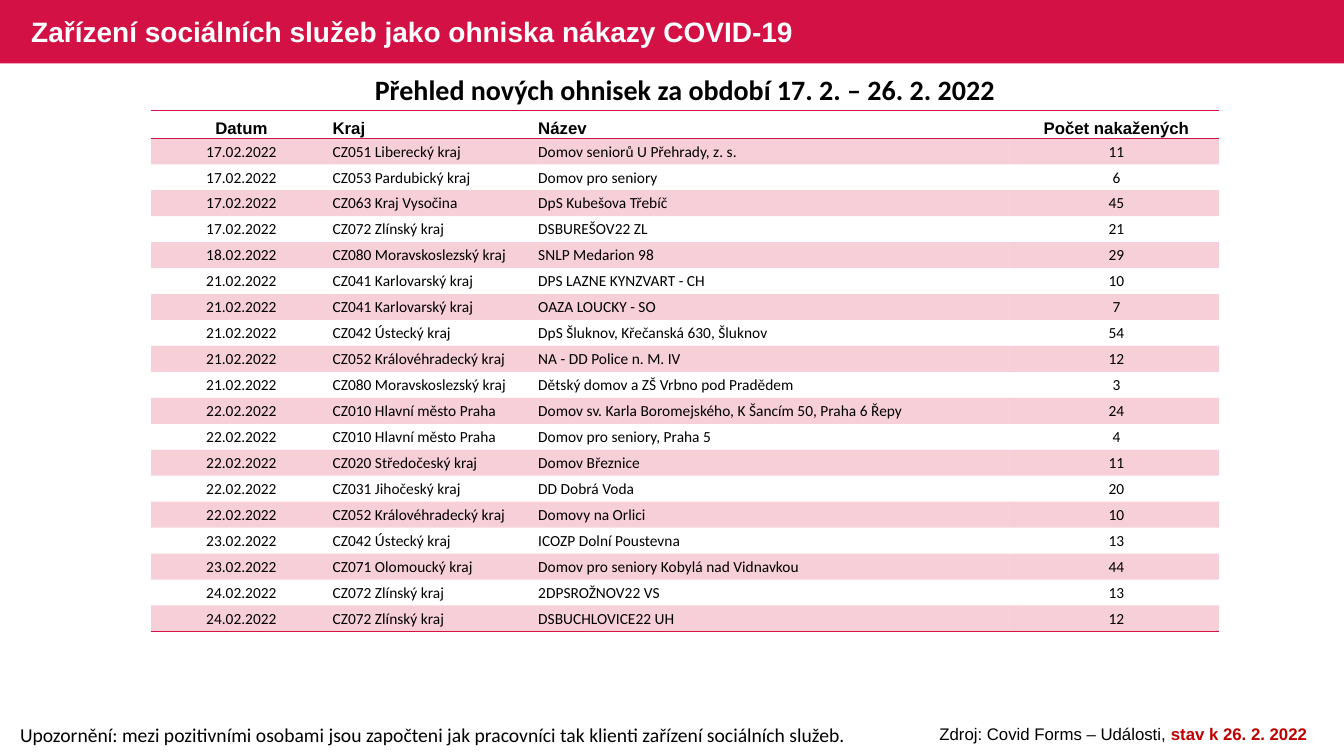
from lxml import etree
from pptx import Presentation
from pptx.dml.color import RGBColor
from pptx.enum import shapes, text
from pptx.oxml import ns
from pptx.util import Pt

CRIMSON = RGBColor(0xD3, 0x11, 0x45)
DARK_RED = RGBColor(0xC0, 0x00, 0x00)
BLACK = RGBColor(0, 0, 0)
WHITE = RGBColor(255, 255, 255)
LEFT, CENTER = text.PP_ALIGN.LEFT, text.PP_ALIGN.CENTER
MIDDLE, BOTTOM = text.MSO_ANCHOR.MIDDLE, text.MSO_ANCHOR.BOTTOM

TITLE = "Zařízení sociálních služeb jako ohniska nákazy COVID-19"
SUBTITLE = "Přehled nových ohnisek za období 17. 2. – 26. 2. 2022"
WARNING = ("Upozornění: mezi pozitivními osobami jsou započteni jak pracovníci "
           "tak klienti zařízení sociálních služeb.")
SOURCE, SOURCE_DATE = "Zdroj: Covid Forms – Události, ", "stav k 26. 2. 2022"

HEADER = ("Datum", "Kraj", "Název", "Počet nakažených")
OUTBREAKS = [
    ("17.02.2022", "CZ051 Liberecký kraj", "Domov seniorů U Přehrady, z. s.", 11),
    ("17.02.2022", "CZ053 Pardubický kraj", "Domov pro seniory", 6),
    ("17.02.2022", "CZ063 Kraj Vysočina", "DpS Kubešova Třebíč", 45),
    ("17.02.2022", "CZ072 Zlínský kraj", "DSBUREŠOV22 ZL", 21),
    ("18.02.2022", "CZ080 Moravskoslezský kraj", "SNLP Medarion 98", 29),
    ("21.02.2022", "CZ041 Karlovarský kraj", "DPS LAZNE KYNZVART - CH", 10),
    ("21.02.2022", "CZ041 Karlovarský kraj", "OAZA LOUCKY - SO", 7),
    ("21.02.2022", "CZ042 Ústecký kraj", "DpS Šluknov, Křečanská 630, Šluknov", 54),
    ("21.02.2022", "CZ052 Královéhradecký kraj", "NA - DD Police n. M. IV", 12),
    ("21.02.2022", "CZ080 Moravskoslezský kraj", "Dětský domov a ZŠ Vrbno pod Pradědem", 3),
    ("22.02.2022", "CZ010 Hlavní město Praha",
     "Domov sv. Karla Boromejského, K Šancím 50, Praha 6 Řepy", 24),
    ("22.02.2022", "CZ010 Hlavní město Praha", "Domov pro seniory, Praha 5", 4),
    ("22.02.2022", "CZ020 Středočeský kraj", "Domov Březnice", 11),
    ("22.02.2022", "CZ031 Jihočeský kraj", "DD Dobrá Voda", 20),
    ("22.02.2022", "CZ052 Královéhradecký kraj", "Domovy na Orlici", 10),
    ("23.02.2022", "CZ042 Ústecký kraj", "ICOZP Dolní Poustevna", 13),
    ("23.02.2022", "CZ071 Olomoucký kraj", "Domov pro seniory Kobylá nad Vidnavkou", 44),
    ("24.02.2022", "CZ072 Zlínský kraj", "2DPSROŽNOV22 VS", 13),
    ("24.02.2022", "CZ072 Zlínský kraj", "DSBUCHLOVICE22 UH", 12),
]
COLUMN_WIDTHS = (128.9, 146.9, 340.6, 146.2)
COLUMN_ALIGNS = (CENTER, LEFT, LEFT, CENTER)
HEADER_HEIGHT, ROW_HEIGHT = 19.6, 18.55
PLAIN_STYLE = "{2D5ABB26-0587-4C30-8999-92F81FD0307C}"

TITLE_FONT = dict(name="Arial", size=Pt(20), bold=True, color=WHITE)
SUBTITLE_FONT = dict(name="Calibri", size=Pt(20), bold=True, color=BLACK)
WARNING_FONT = dict(name="Calibri", size=Pt(14), bold=False, color=BLACK)
SOURCE_FONT = dict(name="Arial", size=Pt(12), bold=False, color=BLACK)
DATE_FONT = dict(SOURCE_FONT, bold=True, color=DARK_RED)
HEADER_FONT = dict(SOURCE_FONT, bold=True)
ROW_FONT = dict(name="Calibri", size=Pt(11), bold=False, color=BLACK)


def write(para, spans, align):
    """Fill a paragraph with (words, font values) spans."""
    para.alignment = align
    for words, values in spans:
        span = para.add_run()
        span.text = words
        for key, value in values.items():
            if key == "color":
                span.font.color.rgb = value
            else:
                setattr(span.font, key, value)


def add_text(slide, place, spans, align):
    box = slide.shapes.add_textbox(*map(Pt, place))
    box.text_frame.word_wrap = True
    write(box.text_frame.paragraphs[0], spans, align)


def add_border(cell, side):
    line = etree.SubElement(cell._tc.get_or_add_tcPr(), ns.qn(f"a:{side}"), w=str(Pt(1)))
    fill = etree.SubElement(line, ns.qn("a:solidFill"))
    etree.SubElement(fill, ns.qn("a:srgbClr"), val=str(CRIMSON))


def tint(cell):
    """Fill a cell with crimson at 20 % opacity."""
    cell.fill.solid()
    cell.fill.fore_color.rgb = CRIMSON
    color = next(cell._tc.tcPr.find(ns.qn("a:solidFill")).iterchildren())
    etree.SubElement(color, ns.qn("a:alpha"), val="20000")


def add_outbreak_table(slide):
    rows = [HEADER, *OUTBREAKS]
    height = HEADER_HEIGHT + ROW_HEIGHT * len(OUTBREAKS)
    frame = slide.shapes.add_table(len(rows), len(HEADER), Pt(108), Pt(79.2),
                                   Pt(sum(COLUMN_WIDTHS)), Pt(height))
    table = frame.table
    table.first_row = table.horz_banding = False
    table._tbl.tblPr.find(ns.qn("a:tableStyleId")).text = PLAIN_STYLE
    for column, width in zip(table.columns, COLUMN_WIDTHS):
        column.width = Pt(width)
    for r, values in enumerate(rows):
        is_header = r == 0
        table.rows[r].height = Pt(HEADER_HEIGHT if is_header else ROW_HEIGHT)
        sides = ("lnT", "lnB") if is_header else ("lnB",) if r == len(rows) - 1 else ()
        layout = dict(margin_left=Pt(0.7), margin_right=Pt(0.7), margin_bottom=0,
                      margin_top=0 if is_header else Pt(0.7),
                      vertical_anchor=BOTTOM if is_header else MIDDLE)
        for c, (value, align) in enumerate(zip(values, COLUMN_ALIGNS)):
            cell = table.cell(r, c)
            for key, setting in layout.items():
                setattr(cell, key, setting)
            font = HEADER_FONT if is_header else ROW_FONT
            write(cell.text_frame.paragraphs[0], [(str(value), font)], align)
            for side in sides:
                add_border(cell, side)
            if r % 2:
                tint(cell)
            else:
                cell.fill.background()


def add_title(slide, slide_width):
    bar = slide.shapes.add_shape(shapes.MSO_SHAPE.RECTANGLE, 0, 0, slide_width, Pt(45.2))
    bar.shadow.inherit = False
    bar.fill.solid()
    bar.fill.fore_color.rgb = CRIMSON
    bar.line.fill.background()
    title = slide.shapes.title
    title._element.addprevious(bar._element)
    title.left, title.top, title.width, title.height = map(Pt, (15.1, 1.4, 585.4, 45.4))
    title.text_frame.vertical_anchor = MIDDLE
    title.text_frame.auto_size = text.MSO_AUTO_SIZE.NONE
    para = title.text_frame.paragraphs[0]
    para.line_spacing = 0.9
    write(para, [(TITLE, TITLE_FONT)], LEFT)


def main():
    deck = Presentation()
    deck.slide_width, deck.slide_height = Pt(960), Pt(540)
    slide = deck.slides.add_slide(deck.slide_layouts[5])
    add_title(slide, deck.slide_width)
    add_text(slide, (7.2, 512.6, 613.4, 24.5), [(WARNING, WARNING_FONT)], LEFT)
    add_text(slide, (38.2, 48.2, 902.2, 31.7), [(SUBTITLE, SUBTITLE_FONT)], CENTER)
    add_text(slide, (652.3, 513.4, 300.2, 21.6),
             [(SOURCE, SOURCE_FONT), (SOURCE_DATE, DATE_FONT)], CENTER)
    add_outbreak_table(slide)
    deck.save("out.pptx")


if __name__ == "__main__":
    main()
